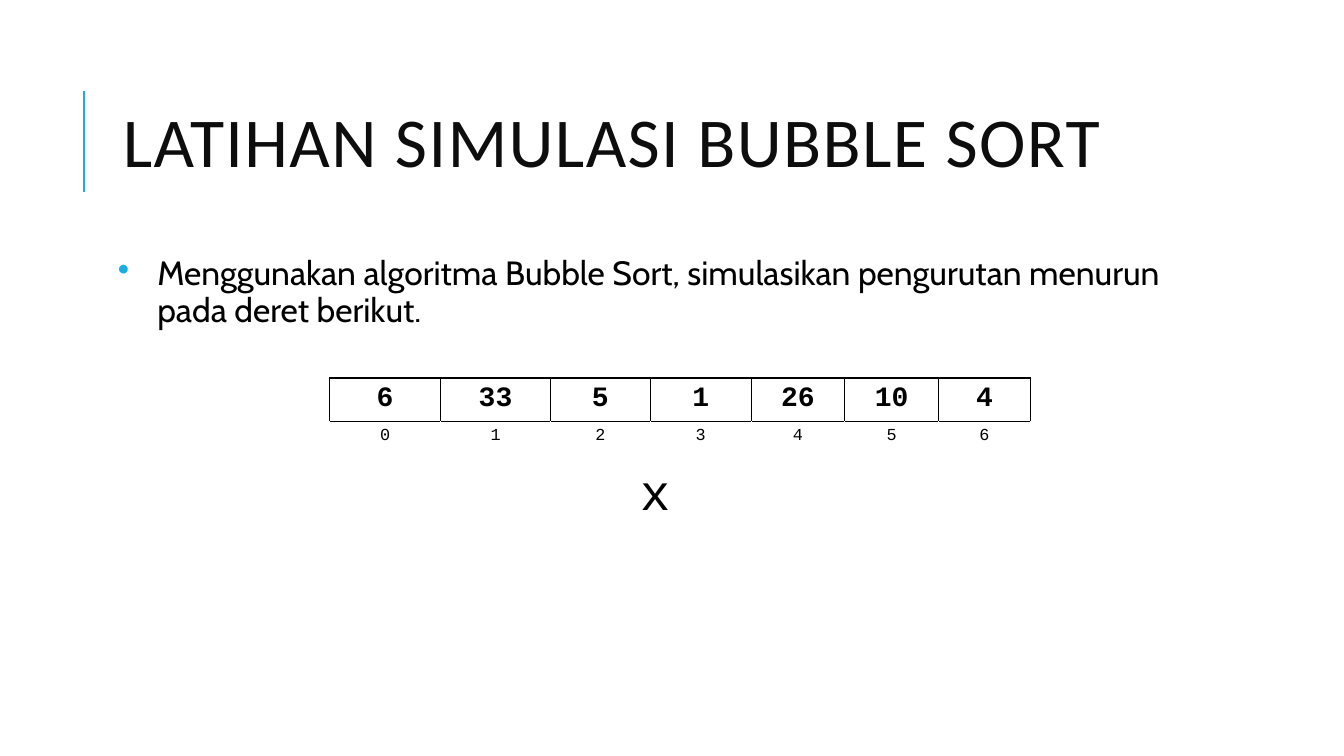
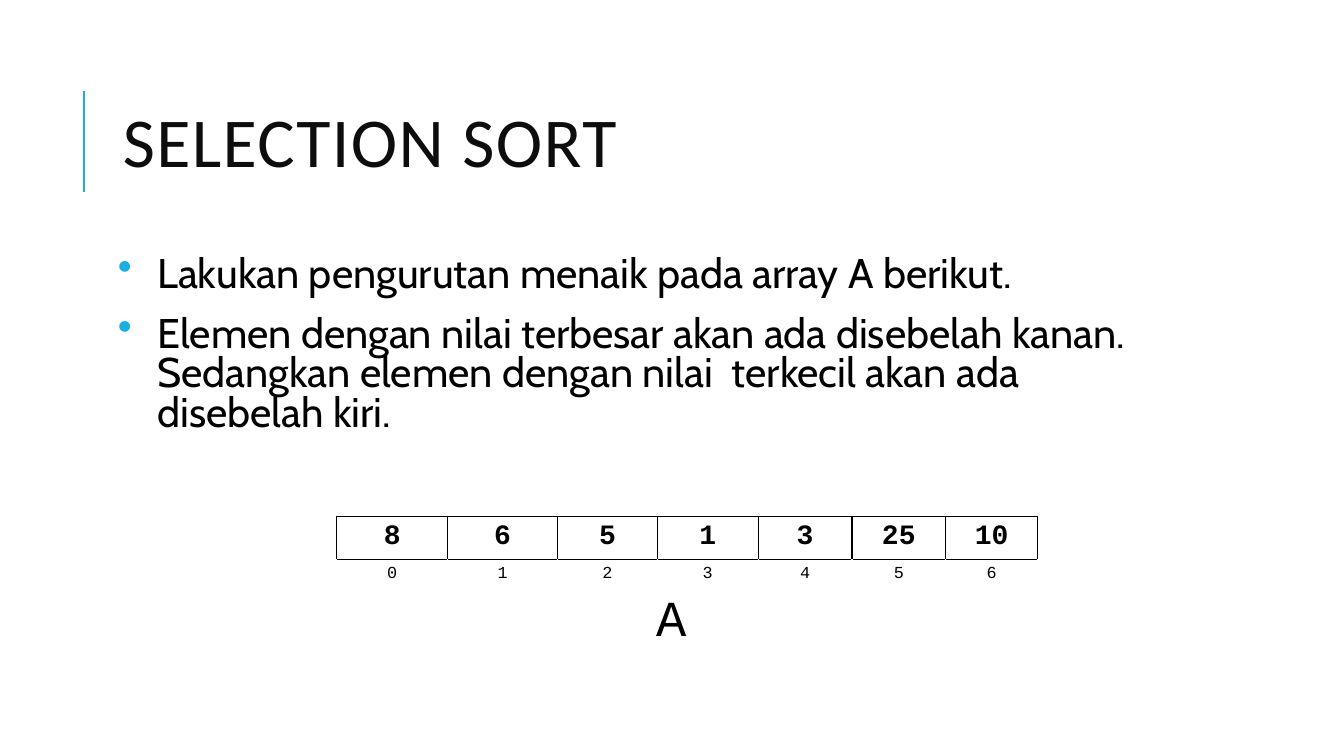
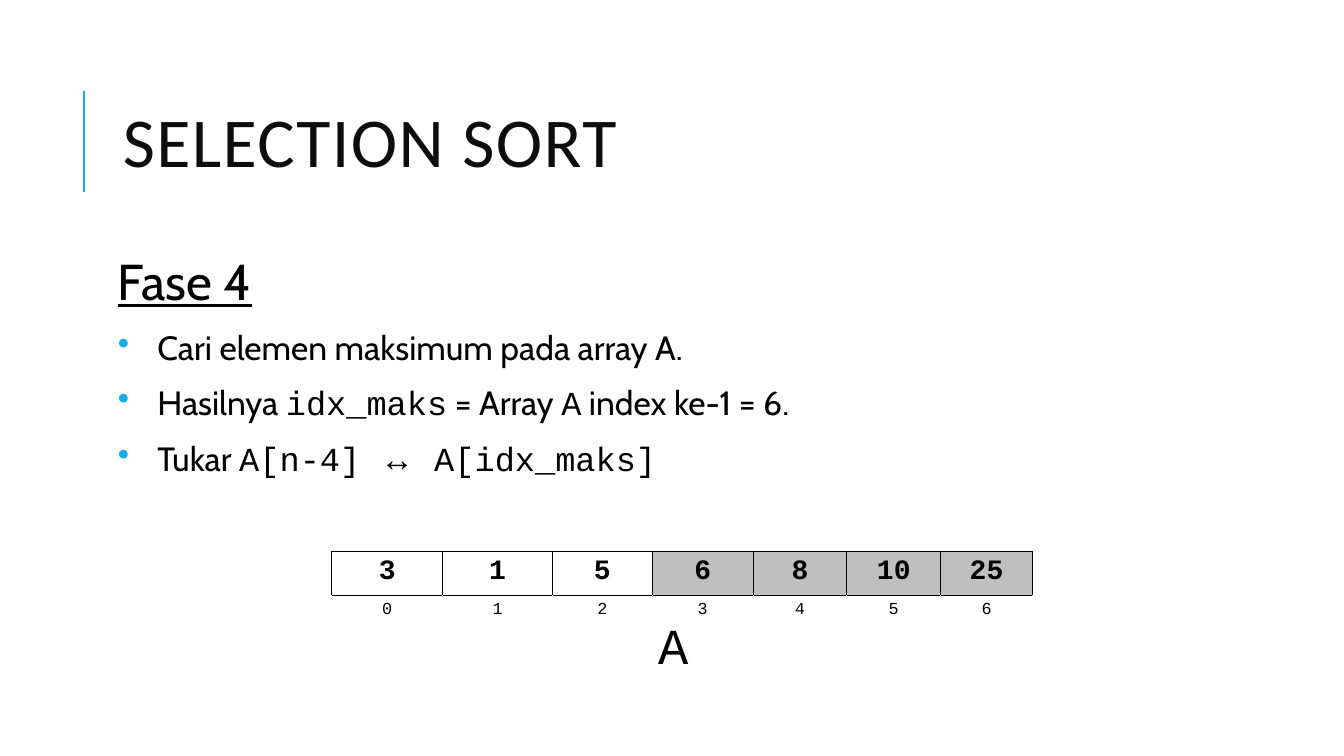
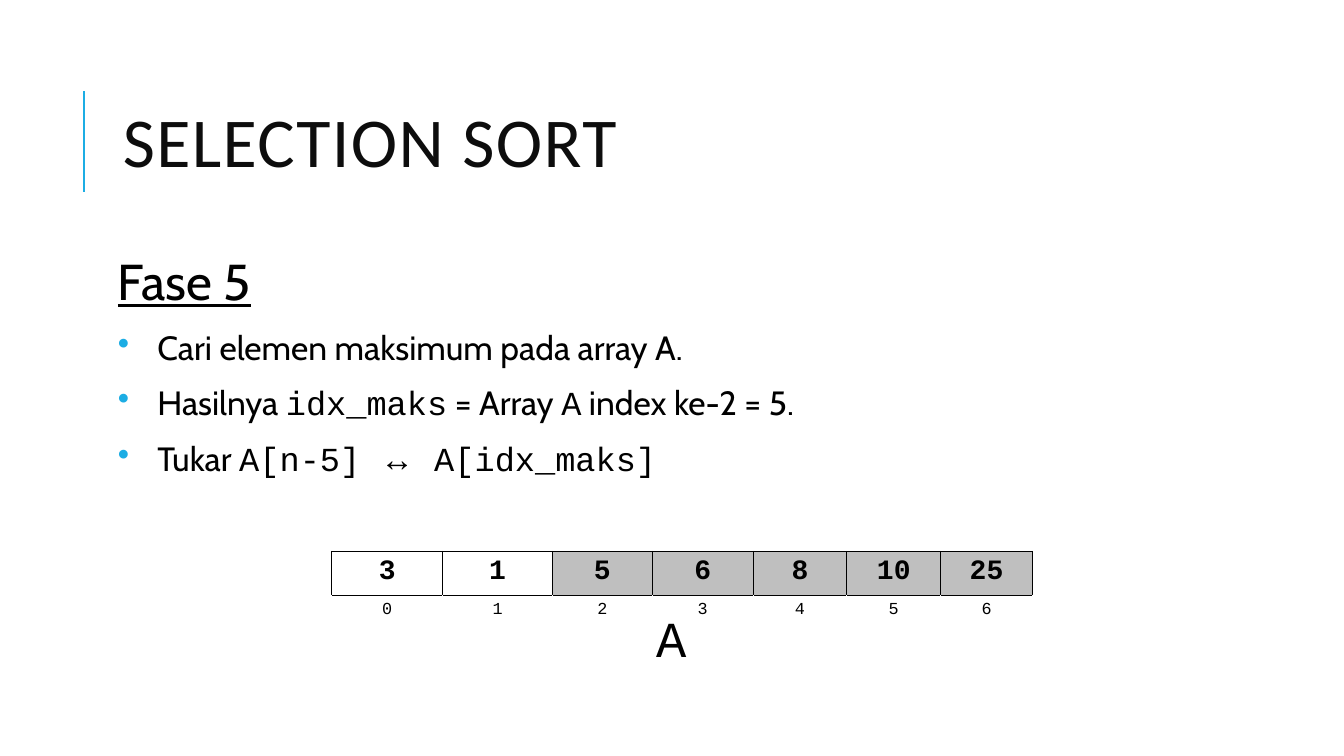
from dataclasses import dataclass

from lxml.etree import SubElement
from pptx import Presentation
from pptx.dml.color import RGBColor
from pptx.enum.shapes import MSO_CONNECTOR as Connector
from pptx.enum.text import MSO_ANCHOR as Anchor, MSO_AUTO_SIZE as AutoSize, PP_ALIGN as Align
from pptx.oxml.ns import qn
from pptx.util import Pt

PX = 9144


@dataclass(frozen=True)
class Theme:
    accent: str = "1CADE4"
    title: str = "0D0D0D"
    ink: str = "000000"
    sorted_fill: str = "BFBFBF"
    title_font: str = "Calibri"
    body_font: str = "Cabin"
    code_font: str = "Courier New"
    symbol_font: str = "Times New Roman"
    title_size: float = 50
    heading_size: float = 36
    large_size: float = 29.6
    body_size: float = 24
    value_size: float = 20
    index_size: float = 12
    title_spacing: float = 0.8
    rule_width: float = 1.5
    border_width: float = 1


THEME = Theme()
CODE, SYMBOL = THEME.code_font, THEME.symbol_font
COLUMNS = (110, 109, 99, 100, 93, 93, 91)
ROW_HEIGHT = 42
HANGING = 39


def phase(number, index, value, values, sorted_from, label_at):
    return {
        "title": "SELECTION SORT",
        "heading": f"Fase {number}",
        "bullets": [
            ["Cari elemen maksimum pada array A."],
            ["Hasilnya ", ("idx_maks", CODE), " = Array ", ("A", CODE),
             f" index ke-{index} = {value}."],
            ["Tukar ", (f"A[n-{number}] ", CODE), ("↔", SYMBOL), (" A[idx_maks]", CODE)],
        ],
        "size": THEME.body_size, "spacing": 0.9, "height": 275,
        "values": values, "table_at": (329, 547), "sorted_from": sorted_from,
        "label": "A", "label_at": label_at,
    }


SLIDES = [
    {
        "title": "LATIHAN SIMULASI BUBBLE SORT",
        "bullets": [["Menggunakan algoritma Bubble Sort, simulasikan pengurutan menurun "
                     "pada deret berikut."]],
        "size": THEME.body_size, "spacing": 0.9, "height": 180,
        "values": (6, 33, 5, 1, 26, 10, 4), "table_at": (327, 375),
        "label": "x", "label_at": (625, 452),
    },
    {
        "title": "SELECTION SORT",
        "bullets": [
            ["Lakukan pengurutan menaik pada array A berikut."],
            ["Elemen dengan nilai terbesar akan ada disebelah kanan. "
             "Sedangkan elemen dengan nilai  terkecil akan ada disebelah kiri."],
        ],
        "size": THEME.large_size, "spacing": 0.8, "height": 191,
        "values": (8, 6, 5, 1, 3, 25, 10), "table_at": (334, 512),
        "label": "A", "label_at": (641, 577),
    },
    phase(4, 1, 6, (3, 1, 5, 6, 8, 10, 25), 3, (643, 604)),
    phase(5, 2, 5, (3, 1, 5, 6, 8, 10, 25), 2, (641, 597)),
]


def px(*lengths):
    return [length * PX for length in lengths]


def style(span, font, size, color=THEME.ink, bold=False, underline=False):
    span.font.name = font
    span.font.size = Pt(size)
    span.font.color.rgb = RGBColor.from_string(color)
    span.font.bold = bold
    span.font.underline = underline


def add_color(parent, color):
    SubElement(parent, qn("a:srgbClr"), val=color)


def add_title(page, title):
    rule = page.shapes.add_connector(Connector.STRAIGHT, *px(83, 190, 83, 90))
    rule.line.color.rgb = RGBColor.from_string(THEME.accent)
    rule.line.width = Pt(THEME.rule_width)
    SubElement(rule._element.spPr, qn("a:effectLst"))

    frame = page.shapes.add_textbox(*px(112, 64, 1063, 164)).text_frame
    frame.word_wrap = True
    frame.vertical_anchor = Anchor.MIDDLE
    frame.text = title
    para = frame.paragraphs[0]
    para.line_spacing = THEME.title_spacing
    span = para.runs[0]
    style(span, THEME.title_font, THEME.title_size, THEME.title)
    span.font._element.set("spc", "100")


def add_bullet(para):
    props = para._p.get_or_add_pPr()
    props.set("marL", str(HANGING * PX))
    props.set("indent", str(-HANGING * PX))
    add_color(SubElement(props, qn("a:buClr")), THEME.accent)
    SubElement(props, qn("a:buChar"), char="•")


def add_body(page, content):
    frame = page.shapes.add_textbox(*px(112, 250, 1063, content["height"])).text_frame
    frame.word_wrap = True
    frame.margin_left = frame.margin_right = 5 * PX
    frame.margin_top = frame.margin_bottom = 5 * PX
    lines = [(parts, True) for parts in content["bullets"]]
    if "heading" in content:
        lines.insert(0, ([content["heading"]], False))
    for number, (parts, bulleted) in enumerate(lines):
        para = frame.add_paragraph() if number else frame.paragraphs[0]
        para.line_spacing = content["spacing"]
        para.space_before, para.space_after = Pt(12), Pt(2)
        if bulleted:
            add_bullet(para)
        for part in parts:
            text, font = (part, THEME.body_font) if isinstance(part, str) else part
            span = para.add_run()
            span.text = text
            size = content["size"] if bulleted else THEME.heading_size
            style(span, font, size, underline=not bulleted)


def add_borders(cell, sides):
    props = cell._tc.get_or_add_tcPr()
    for side in sides:
        line = SubElement(props, qn(f"a:ln{side}"), w=str(Pt(THEME.border_width)))
        add_color(SubElement(line, qn("a:solidFill")), THEME.ink)


def fill_cell(cell, text, size, bold, sides, shaded):
    cell.text = str(text)
    para = cell.text_frame.paragraphs[0]
    para.alignment = Align.CENTER
    style(para.runs[0], THEME.code_font, size, bold=bold)
    add_borders(cell, sides)
    if shaded:
        cell.fill.solid()
        cell.fill.fore_color.rgb = RGBColor.from_string(THEME.sorted_fill)
    else:
        cell.fill.background()


def add_array(page, content):
    values = content["values"]
    size = (sum(COLUMNS), 2 * ROW_HEIGHT)
    table = page.shapes.add_table(2, len(values), *px(*content["table_at"], *size)).table
    table.first_row = table.horz_banding = False
    for row in table.rows:
        row.height = ROW_HEIGHT * PX
    sorted_from = content.get("sorted_from", len(values))
    for index, (value, width) in enumerate(zip(values, COLUMNS)):
        table.columns[index].width = width * PX
        fill_cell(table.cell(0, index), value, THEME.value_size, True, "LRTB",
                  index >= sorted_from)
        fill_cell(table.cell(1, index), index, THEME.index_size, False, "T", False)

    frame = page.shapes.add_textbox(*px(*content["label_at"], 51, 71)).text_frame
    frame.word_wrap = False
    frame.auto_size = AutoSize.SHAPE_TO_FIT_TEXT
    frame.text = content["label"]
    style(frame.paragraphs[0].runs[0], THEME.code_font, THEME.heading_size)


def main():
    deck = Presentation()
    deck.slide_width, deck.slide_height = px(1333, 750)
    for content in SLIDES:
        page = deck.slides.add_slide(deck.slide_layouts[6])
        add_title(page, content["title"])
        add_body(page, content)
        add_array(page, content)
    deck.save("out.pptx")


if __name__ == "__main__":
    main()
